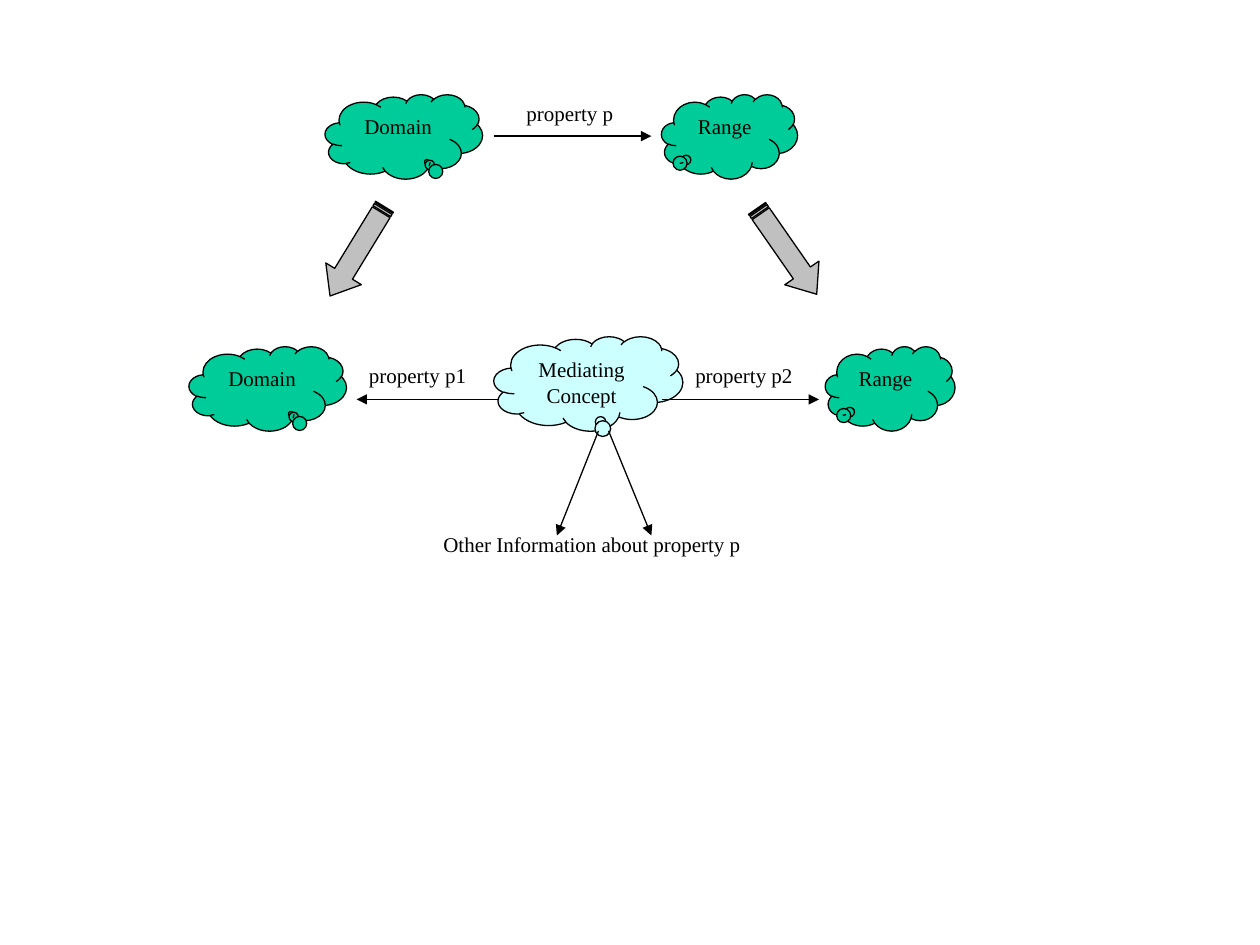
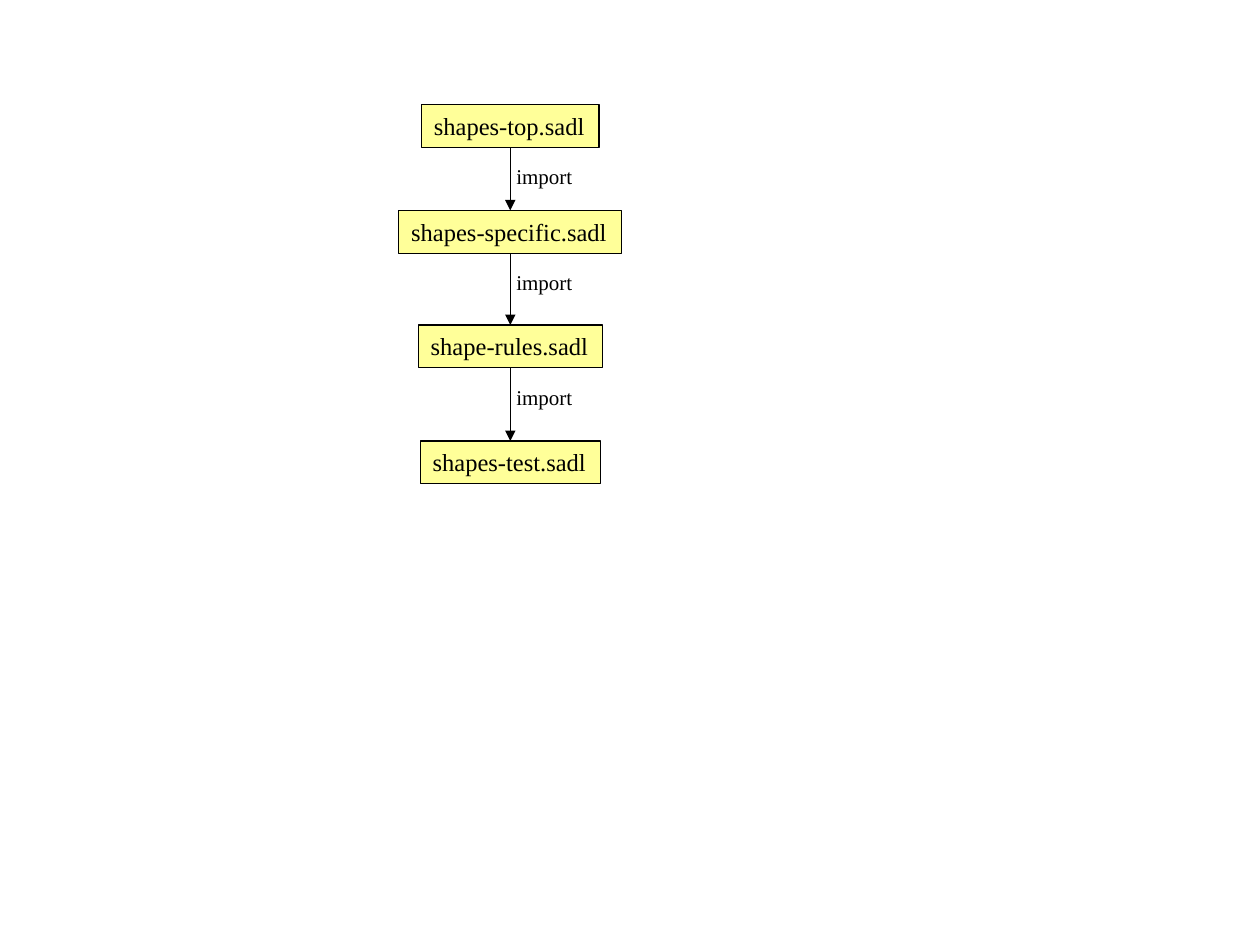
"""Build two diagram slides: a mediating concept and a chain of imports."""
from pptx import Presentation
from pptx.dml.color import RGBColor
from pptx.enum.shapes import MSO_CONNECTOR, MSO_SHAPE
from pptx.enum.text import MSO_ANCHOR, PP_ALIGN
from pptx.oxml.ns import qn
from pptx.util import Inches, Pt
from lxml import etree

CLOUD = MSO_SHAPE.CLOUD_CALLOUT
STRIPED = MSO_SHAPE.STRIPED_RIGHT_ARROW
RECT = MSO_SHAPE.RECTANGLE
LINE = MSO_CONNECTOR.STRAIGHT
TOP = MSO_ANCHOR.TOP
LEFT, CENTER = PP_ALIGN.LEFT, PP_ALIGN.CENTER
FONT = "Times New Roman"
COLORS = {"ink": "000000", "green": "00CC99", "pale": "CCFFFF",
          "gray": "C0C0C0", "yellow": "FFFF99"}


def add_item(slide, box, text="", kind=None, fill=None, size=12, align=LEFT, wrap=True):
    area = [Inches(v) for v in box]
    if kind is None:
        item = slide.shapes.add_textbox(*area)
    else:
        item = slide.shapes.add_shape(kind, *area)
        item.shadow.inherit = False
        item.fill.solid()
        item.fill.fore_color.rgb = RGBColor.from_string(COLORS[fill])
        item.line.color.rgb = RGBColor.from_string(COLORS["ink"])
        item.line.width = Pt(0.75)
    if text:
        frame = item.text_frame
        frame.word_wrap = wrap
        frame.vertical_anchor = TOP
        para = frame.paragraphs[0]
        para.text = text
        para.alignment = align
        para.font.name = FONT
        para.font.size = Pt(size)
        para.font.color.rgb = RGBColor.from_string(COLORS["ink"])
    return item


def add_arrow(slide, ends):
    arrow = slide.shapes.add_connector(LINE, *[Inches(v) for v in ends])
    arrow.line.color.rgb = RGBColor.from_string(COLORS["ink"])
    arrow.line.width = Pt(0.75)
    props = arrow.element.spPr
    etree.SubElement(props.find(qn("a:ln")), qn("a:tailEnd"), type="triangle")
    etree.SubElement(props, qn("a:effectLst"))


deck = Presentation()
deck.slide_width, deck.slide_height = Inches(10), Inches(7.5)
blank = deck.slide_layouts[6]

slide = deck.slides.add_slide(blank)
clouds = [
    ("Domain", (2.58, 0.75, 1.25, 0.67), "green", (0.147, 0.299)),
    ("Range", (5.25, 0.75, 1.08, 0.67), "green", (-0.304, 0.263)),
    ("Domain", (1.5, 2.75, 1.25, 0.67), "green", (0.147, 0.299)),
    ("Range", (6.55, 2.75, 1.03, 0.67), "green", (-0.295, 0.263)),
    ("Mediating Concept", (3.92, 2.67, 1.5, 0.75), "pale", (0.062, 0.387)),
]
arrows = [(3.92, 1.08, 5.17, 1.08), (4.08, 3.17, 2.83, 3.17), (5.25, 3.17, 6.5, 3.17),
          (4.83, 3.42, 5.17, 4.25), (4.75, 3.42, 4.42, 4.25)]
add_arrow(slide, arrows[1])
for text, box, fill, tip in clouds:
    cloud = add_item(slide, box, text, CLOUD, fill, align=CENTER)
    cloud.adjustments[0], cloud.adjustments[1] = tip
for ends in arrows[:1] + arrows[2:]:
    add_arrow(slide, ends)
for text, left, top in [("property p", 4.08, 0.75), ("property p1", 2.83, 2.83),
                        ("property p2", 5.42, 2.83)]:
    add_item(slide, (left, top, 1.17, 0.3), text)
add_item(slide, (3.42, 4.17, 2.59, 0.3), "Other Information about property p", wrap=False)
for left, angle in [(2.42, 121.4), (5.83, 55.2)]:
    block = add_item(slide, (left, 1.83, 0.83, 0.33), kind=STRIPED, fill="gray")
    block.adjustments[0], block.adjustments[1] = 0.5, 0.625
    block.rotation = angle

slide = deck.slides.add_slide(blank)
mid, high = 4.05, 0.34
files = [("shapes-top.sadl", 0.83, 1.41), ("shapes-specific.sadl", 1.67, 1.77),
         ("shape-rules.sadl", 2.58, 1.46), ("shapes-test.sadl", 3.5, 1.43)]
for text, top, width in files:
    add_item(slide, (mid - width / 2, top, width, high), text, RECT, "yellow", 14, wrap=False)
for (_, top, _), (_, below, _) in zip(files, files[1:]):
    add_arrow(slide, (mid, top + high, mid, below))
    add_item(slide, (4, top + 0.42, 0.65, 0.3), "import", wrap=False)

deck.save("out.pptx")
